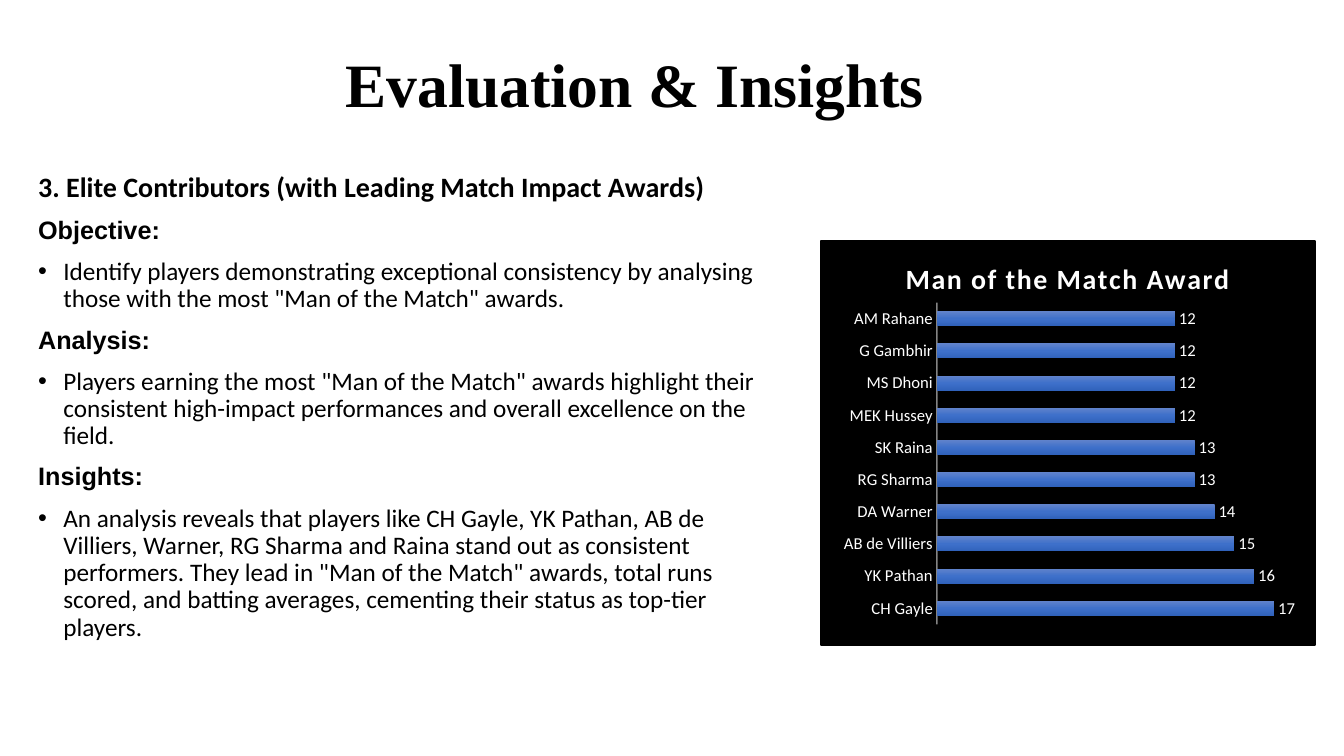
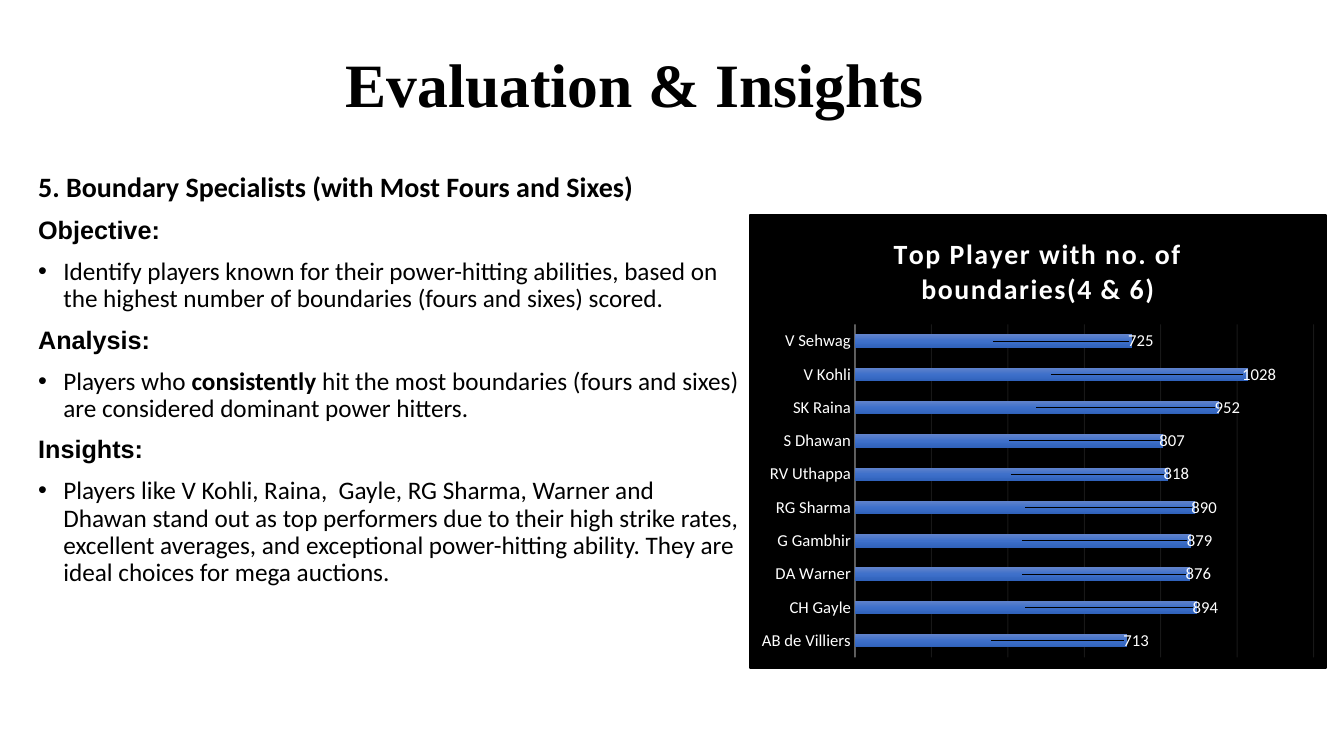
from lxml import etree
from pptx import Presentation
from pptx.chart.data import CategoryChartData
from pptx.dml.color import RGBColor
from pptx.enum.chart import XL_CHART_TYPE, XL_LABEL_POSITION, XL_TICK_MARK
from pptx.enum.text import MSO_ANCHOR, PP_ALIGN
from pptx.oxml import parse_xml
from pptx.oxml.ns import qn
from pptx.util import Inches, Pt

CLUSTERED = XL_CHART_TYPE.BAR_CLUSTERED
STACKED = XL_CHART_TYPE.BAR_STACKED
OUTSIDE_END = XL_LABEL_POSITION.OUTSIDE_END
LABEL_CENTER = XL_LABEL_POSITION.CENTER
NO_TICK = XL_TICK_MARK.NONE
MIDDLE = MSO_ANCHOR.MIDDLE
CENTER = PP_ALIGN.CENTER

BLACK = RGBColor(0x00, 0x00, 0x00)
WHITE = RGBColor(0xFF, 0xFF, 0xFF)
PALE = RGBColor(0xF2, 0xF2, 0xF2)
BAR_STOPS = (
    (0, RGBColor(0x61, 0x83, 0xCB)),
    (50, RGBColor(0x3E, 0x70, 0xCA)),
    (100, RGBColor(0x30, 0x62, 0xBB)),
)
NAMESPACES = (
    'xmlns:a="http://schemas.openxmlformats.org/drawingml/2006/main" '
    'xmlns:c="http://schemas.openxmlformats.org/drawingml/2006/chart"'
)


def manual_layout(inner=False, **values):
    target = '<c:layoutTarget val="inner"/>' if inner else ""
    modes = "".join(f'<c:{k}Mode val="edge"/>' for k in ("x", "y") if inner)
    sizes = "".join(f'<c:{k} val="{v:.3f}"/>' for k, v in values.items())
    return parse_xml(
        f"<c:layout {NAMESPACES}><c:manualLayout>{target}{modes}{sizes}"
        "</c:manualLayout></c:layout>"
    )


def style_line(line, width, opacity):
    line.color.rgb = PALE
    line.width = Pt(width)
    color = line._ln.find(".//" + qn("a:srgbClr"))
    etree.SubElement(color, qn("a:alpha")).set("val", str(opacity * 1000))


class Deck:
    title_font = "Times New Roman"
    heading_font = "Arial"
    body_font = "Calibri"

    def __init__(self):
        self.prs = Presentation()
        self.prs.slide_width = Inches(13.33)
        self.prs.slide_height = Inches(7.5)
        self.slide = None

    def new_slide(self, title):
        self.slide = self.prs.slides.add_slide(self.prs.slide_layouts[6])
        tf = self.text_box(0.76, 0.62, 11.08, 0.5)
        tf.vertical_anchor = MIDDLE
        p = tf.paragraphs[0]
        p.alignment = CENTER
        p.line_spacing = 0.9
        self.add_run(p, title, self.title_font, 44, True)

    def text_box(self, left, top, width, height):
        box = self.slide.shapes.add_textbox(
            Inches(left), Inches(top), Inches(width), Inches(height))
        box.text_frame.word_wrap = True
        return box.text_frame

    def add_run(self, p, text, font, size, bold):
        r = p.add_run()
        r.text = text
        self.style_font(r.font, size, BLACK, font, bold)

    def style_font(self, font, size, color, name=body_font, bold=False):
        font.name = name
        font.size = Pt(size)
        font.bold = bold
        font.color.rgb = color

    def body(self, width, heading, sections):
        tf = self.text_box(0.28, 1.67, width, 5.11)
        self.paragraph(tf.paragraphs[0], [(heading, True)], self.body_font, 20)
        for label, parts in sections:
            self.paragraph(tf.add_paragraph(), [(label, True)], self.heading_font)
            p = tf.add_paragraph()
            self.paragraph(p, parts, self.body_font)
            self.bullet(p)

    def paragraph(self, p, parts, font, size=18):
        p.line_spacing = 0.9
        p.space_before = Pt(10)
        for text, bold in parts:
            self.add_run(p, text, font, size, bold)

    def bullet(self, p):
        pPr = p._p.get_or_add_pPr()
        pPr.set("marL", str(Inches(0.25)))
        pPr.set("indent", str(-Inches(0.25)))
        etree.SubElement(pPr, qn("a:buFont")).set("typeface", "Arial")
        etree.SubElement(pPr, qn("a:buChar")).set("char", "•")

    def bar_chart(self, kind, place, title, points, plot_area, maximum, gap, overlap):
        data = CategoryChartData()
        data.categories = [name for name, _ in points]
        data.add_series("Series 1", [value for _, value in points])
        chart = self.slide.shapes.add_chart(
            kind, *(Inches(v) for v in place), data).chart
        chart.has_legend = False
        self.style_font(chart.font, 10, WHITE)
        self.chart_background(chart)
        self.chart_title(chart, title)

        plot_xml = chart._chartSpace.chart.plotArea
        for layout in plot_xml.findall(qn("c:layout")):
            plot_xml.remove(layout)
        plot_xml.insert(0, manual_layout(True, **dict(zip("xywh", plot_area))))

        names, values = chart.category_axis, chart.value_axis
        names.major_tick_mark = NO_TICK
        names.minor_tick_mark = NO_TICK
        self.style_font(names.tick_labels.font, 12, WHITE)
        style_line(names.format.line, 1, 54)
        values.visible = False
        values.minimum_scale = 0
        values.maximum_scale = maximum
        values.has_major_gridlines = False

        plot = chart.plots[0]
        plot.vary_by_categories = False
        plot.gap_width = gap
        plot.overlap = overlap
        series = plot.series[0]
        self.bar_gradient(series)
        labels = series.data_labels
        labels.show_value = True
        labels.position = OUTSIDE_END if kind == CLUSTERED else LABEL_CENTER
        self.style_font(labels.font, 12, WHITE)
        return chart

    def chart_background(self, chart):
        fill = f'<a:solidFill><a:srgbClr val="{BLACK}"/></a:solidFill>'
        chart._chartSpace.chart.addnext(parse_xml(
            f'<c:spPr {NAMESPACES}>{fill}<a:ln w="{Pt(1.5)}">{fill}</a:ln></c:spPr>'))

    def chart_title(self, chart, title):
        p = chart.chart_title.text_frame.paragraphs[0]
        p.text = title
        r = p.runs[0]
        self.style_font(r.font, 20, WHITE, bold=True)
        r.font._element.set("spc", "100")
        chart.chart_title.include_in_layout = False

    def bar_gradient(self, series):
        stops = "".join(
            f'<a:gs pos="{pos * 1000}"><a:srgbClr val="{color}"/></a:gs>'
            for pos, color in BAR_STOPS)
        spPr = series._element.get_or_add_spPr()
        spPr.insert(0, parse_xml(
            f'<a:gradFill {NAMESPACES}><a:gsLst>{stops}</a:gsLst>'
            '<a:lin ang="5400000" scaled="0"/></a:gradFill>'))

    def gridlines(self, chart, step):
        axis = chart.value_axis
        axis.major_unit = step
        axis.has_major_gridlines = True
        style_line(axis.major_gridlines.format.line, 0.75, 10)

    def labels_at_bar_ends(self, chart):
        series = chart.plots[0].series[0]
        plot_width = float(chart._chartSpace.chart.plotArea.find(
            ".//" + qn("c:w")).get("val"))
        for i, value in enumerate(series.values):
            label = series.points[i].data_label
            self.style_font(label.font, 12, WHITE)
            label.position = LABEL_CENTER
            half_bar = value / chart.value_axis.maximum_scale * plot_width / 2
            shift = half_bar + 0.005 * len(str(int(value)))
            idx = series._element.findall(".//" + qn("c:dLbl"))[i].find(qn("c:idx"))
            idx.addnext(manual_layout(x=shift, y=0))


def main():
    deck = Deck()

    deck.new_slide("Evaluation & Insights")
    deck.body(7.51, "3. Elite Contributors (with Leading Match Impact Awards)", [
        ("Objective:", [(
            "Identify players demonstrating exceptional consistency by analysing "
            'those with the most "Man of the Match" awards.', False)]),
        ("Analysis:", [(
            'Players earning the most "Man of the Match" awards highlight their '
            "consistent high-impact performances and overall excellence on the "
            "field.", False)]),
        ("Insights:", [(
            "An analysis reveals that players like CH Gayle, YK Pathan, AB de "
            "Villiers, Warner, RG Sharma and Raina stand out as consistent "
            'performers. They lead in "Man of the Match" awards, total runs '
            "scored, and batting averages, cementing their status as top-tier "
            "players.", False)]),
    ])
    deck.bar_chart(
        CLUSTERED, (8.13, 2.38, 4.92, 4.03), "Man of the Match Award",
        [("CH Gayle", 17), ("YK Pathan", 16), ("AB de Villiers", 15),
         ("DA Warner", 14), ("RG Sharma", 13), ("SK Raina", 13),
         ("MEK Hussey", 12), ("MS Dhoni", 12), ("G Gambhir", 12),
         ("AM Rahane", 12)],
        (0.235, 0.153, 0.723, 0.796), maximum=18, gap=115, overlap=-20)

    deck.new_slide("Evaluation & Insights")
    deck.body(7.15, "5. Boundary Specialists (with Most Fours and Sixes)", [
        ("Objective:", [(
            "Identify players known for their power-hitting abilities, based on "
            "the highest number of boundaries (fours and sixes) scored.", False)]),
        ("Analysis:", [
            ("Players who ", False), ("consistently", True),
            (" hit the most boundaries (fours and sixes) are considered "
             "dominant power hitters.", False)]),
        ("Insights:", [(
            "Players like V Kohli, Raina,  Gayle, RG Sharma, Warner and Dhawan "
            "stand out as top performers due to their high strike rates, "
            "excellent averages, and exceptional power-hitting ability. They are "
            "ideal choices for mega auctions.", False)]),
    ])
    chart = deck.bar_chart(
        STACKED, (7.43, 2.12, 5.73, 4.52),
        "Top Player with no. of boundaries(4 & 6)",
        [("AB de Villiers", 713), ("CH Gayle", 894), ("DA Warner", 876),
         ("G Gambhir", 879), ("RG Sharma", 890), ("RV Uthappa", 818),
         ("S Dhawan", 807), ("SK Raina", 952), ("V Kohli", 1028),
         ("V Sehwag", 725)],
        (0.182, 0.242, 0.797, 0.734), maximum=1200, gap=150, overlap=100)
    deck.gridlines(chart, 200)
    deck.labels_at_bar_ends(chart)

    deck.prs.save("out.pptx")


if __name__ == "__main__":
    main()
